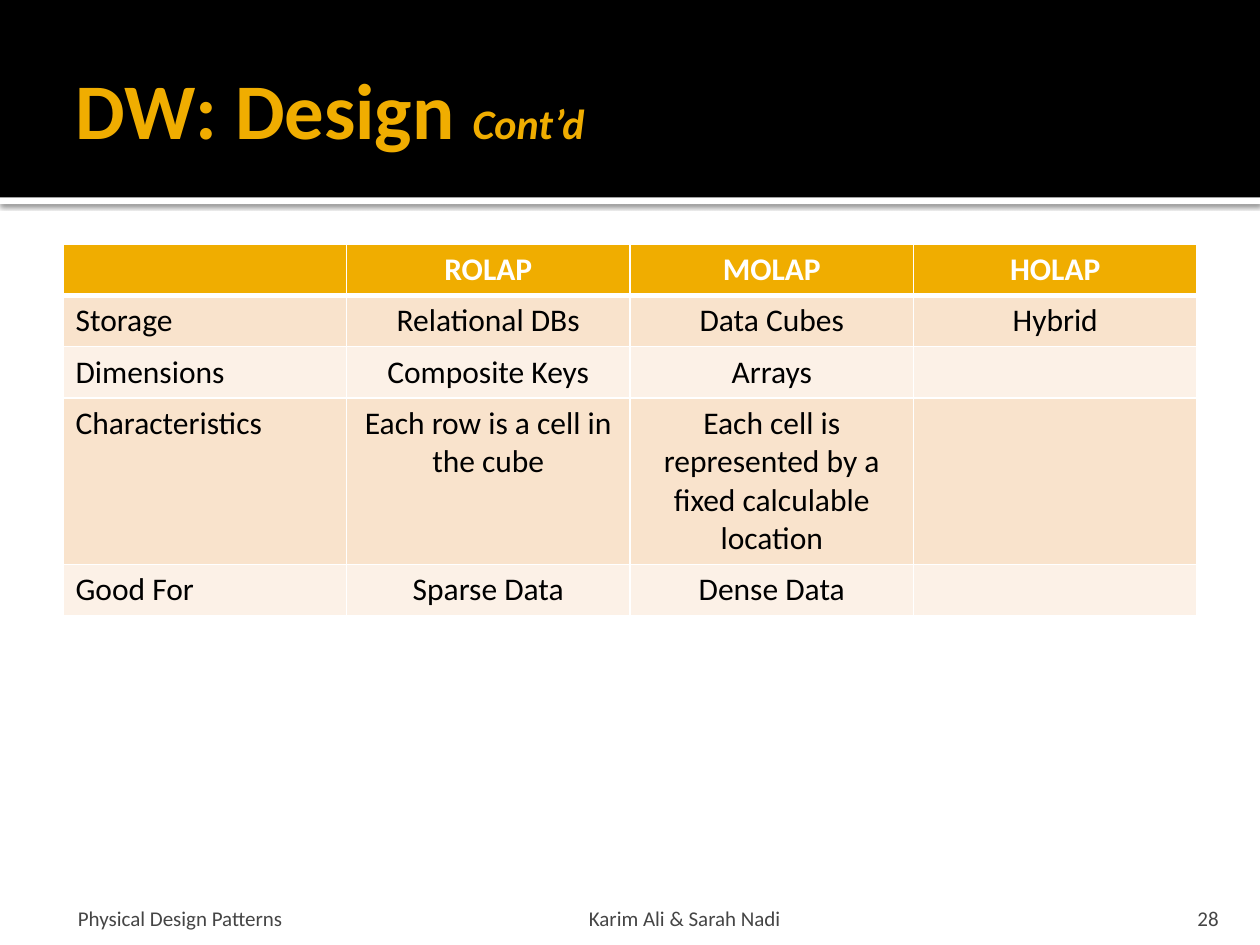
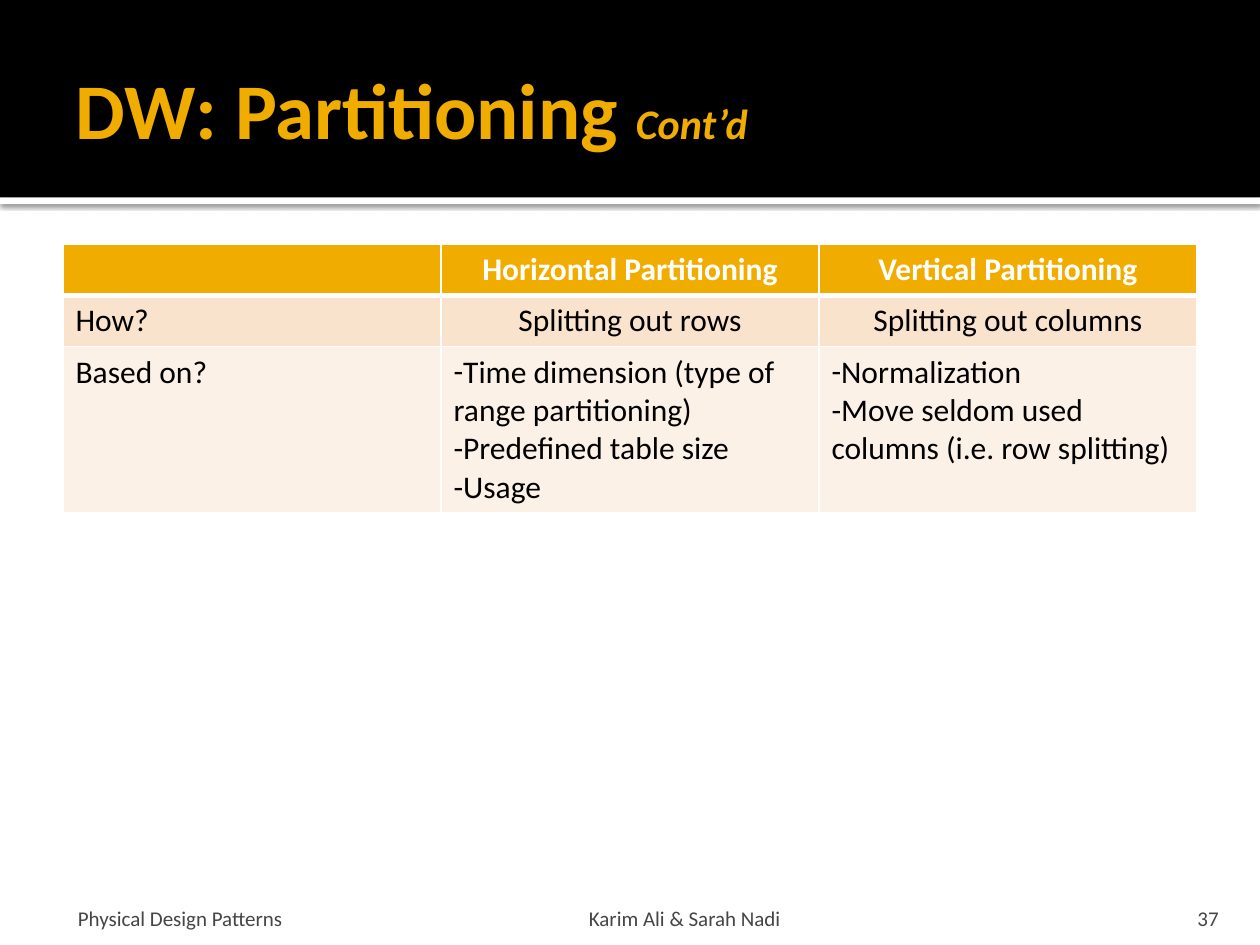
from lxml import etree
from pptx import Presentation
from pptx import util as u
from pptx.dml.color import RGBColor
from pptx.enum import shapes, text
from pptx.oxml.ns import qn

# Shared look
FONT = "Calibri"
BLACK = RGBColor(0x00, 0x00, 0x00)
WHITE = RGBColor(0xFF, 0xFF, 0xFF)
GOLD = RGBColor(0xF0, 0xAD, 0x00)
GREY = RGBColor(0x45, 0x45, 0x45)
BANDS = (RGBColor(0xF9, 0xE3, 0xCC), RGBColor(0xFC, 0xF1, 0xE7))

LEFT, CENTER, RIGHT = (text.PP_ALIGN.LEFT, text.PP_ALIGN.CENTER,
                       text.PP_ALIGN.RIGHT)
WIDE, HIGH = u.Cm(25.4), u.Cm(19.05)
EDGE, SPAN = u.Cm(1.27), u.Cm(22.86)
HEAD = u.Cm(3.98)
ROW = u.Cm(1.03)

# Footer fields: left, width, left and right inset, alignment
FOOT = ((1.27, 5.92, 0.3, 0.13, LEFT),
        (6.16, 15.29, 0.13, 0.13, CENTER),
        (22.79, 2.03, 0.25, 0.25, RIGHT))
NOTE = ("Physical Design Patterns", "Karim Ali & Sarah Nadi")

# Table content: a list in a cell is a dashed list
DESIGN = (
    ("", "ROLAP", "MOLAP", "HOLAP"),
    ("Storage", "Relational DBs", "Data Cubes", "Hybrid"),
    ("Dimensions", "Composite Keys", "Arrays", ""),
    ("Characteristics", "Each row is a cell in the cube",
     "Each cell is represented by a fixed calculable location", ""),
    ("Good For", "Sparse Data", "Dense Data", ""),
)
PARTS = (
    ("", "Horizontal Partitioning", "Vertical Partitioning"),
    ("How?", "Splitting out rows", "Splitting out columns"),
    ("Based on?",
     ["Time dimension (type of range partitioning)",
      "Predefined table size", "Usage"],
     ["Normalization", "Move seldom used columns (i.e. row splitting)"]),
)


def add_run(para, words, size, color, bold=False, italic=False):
    run = para.add_run()
    run.text = words
    font = run.font
    font.name, font.size = FONT, u.Pt(size)
    font.bold, font.italic = bold, italic
    font.color.rgb = color


def set_frame(frame, anchor, left, right, top, bottom):
    frame.word_wrap = True
    frame.auto_size = text.MSO_AUTO_SIZE.NONE
    frame.vertical_anchor = anchor
    frame.margin_left, frame.margin_right = u.Cm(left), u.Cm(right)
    frame.margin_top, frame.margin_bottom = u.Cm(top), u.Cm(bottom)


def add_band(slide, top, height, color):
    band = slide.shapes.add_shape(shapes.MSO_SHAPE.RECTANGLE,
                                  0, top, WIDE, height)
    band.shadow.inherit = False
    band.fill.solid()
    band.fill.fore_color.rgb = color
    band.line.fill.background()
    return band


def add_shade(shape):
    """Cast a soft black shadow straight down."""
    list_ = shape._element.spPr.find(qn("a:effectLst"))
    shade = etree.SubElement(list_, qn("a:outerShdw"),
                             blurRad=str(u.Pt(2.5)), dist=str(u.Pt(1.5)),
                             dir="5400000", algn="t", rotWithShape="0")
    tint = etree.SubElement(shade, qn("a:srgbClr"), val=str(BLACK))
    etree.SubElement(tint, qn("a:alpha"), val="60000")


def add_title(slide, words):
    title = slide.shapes.title
    title.left, title.top = EDGE, u.Cm(0.43)
    title.width, title.height = SPAN, u.Cm(3.48)
    set_frame(title.text_frame, text.MSO_ANCHOR.MIDDLE,
              0.25, 0.13, 0.13, 0.13)
    para = title.text_frame.paragraphs[0]
    para.alignment = LEFT
    add_run(para, words + " ", 45, GOLD, bold=True)
    add_run(para, "Cont\u2019d", 24, GOLD, bold=True, italic=True)
    # Bring the title in front of the bands
    title._element.getparent().append(title._element)


def add_foot(slide, page):
    for words, (left, width, inl, inr, align) in zip((*NOTE, page), FOOT):
        box = slide.shapes.add_textbox(u.Cm(left), u.Cm(18),
                                       u.Cm(width), u.Cm(0.76))
        set_frame(box.text_frame, text.MSO_ANCHOR.BOTTOM, inl, inr, 0.13, 0)
        para = box.text_frame.paragraphs[0]
        para.alignment = align
        add_run(para, words, 12, GREY)


def add_rules(cell, row):
    """White cell borders, thick between the header and the body."""
    props = cell._tc.get_or_add_tcPr()
    thick = {0: "lnB", 1: "lnT"}.get(row)
    for side in ("lnL", "lnR", "lnT", "lnB"):
        width = u.Pt(3 if side == thick else 1)
        line = etree.SubElement(props, qn("a:" + side), w=str(width))
        fill = etree.SubElement(line, qn("a:solidFill"))
        etree.SubElement(fill, qn("a:srgbClr"), val=str(WHITE))


def add_dash(para):
    props = para._p.get_or_add_pPr()
    props.set("marL", "0")
    props.set("indent", "0")
    etree.SubElement(props, qn("a:buFont"), typeface=FONT)
    etree.SubElement(props, qn("a:buChar"), char="-")


def fill_cell(cell, item, row, col):
    head = row == 0
    add_rules(cell, row)
    cell.fill.solid()
    cell.fill.fore_color.rgb = GOLD if head else BANDS[(row - 1) % 2]
    if head:
        cell.vertical_anchor = text.MSO_ANCHOR.MIDDLE
    dashed = isinstance(item, list)
    frame = cell.text_frame
    for num, words in enumerate(item if dashed else [item]):
        para = frame.add_paragraph() if num else frame.paragraphs[0]
        para.alignment = LEFT if dashed or col == 0 else CENTER
        if dashed:
            add_dash(para)
        if words:
            add_run(para, words, 18, WHITE if head else BLACK, bold=head)


def add_grid(slide, rows):
    count = len(rows[0])
    grid = slide.shapes.add_table(len(rows), count, EDGE, u.Cm(4.93),
                                  SPAN, ROW * len(rows)).table
    for col in grid.columns:
        col.width = SPAN // count
    for row, items in enumerate(rows):
        grid.rows[row].height = ROW
        for col, item in enumerate(items):
            fill_cell(grid.cell(row, col), item, row, col)


def add_slide(deck, title, page, rows):
    slide = deck.slides.add_slide(deck.slide_layouts[5])
    add_shade(add_band(slide, HEAD, u.Cm(0.13), WHITE))
    add_band(slide, 0, HEAD, BLACK)
    add_title(slide, title)
    add_foot(slide, page)
    add_grid(slide, rows)


def main():
    deck = Presentation()
    deck.slide_width, deck.slide_height = WIDE, HIGH
    add_slide(deck, "DW: Design", "28", DESIGN)
    add_slide(deck, "DW: Partitioning", "37", PARTS)
    deck.save("out.pptx")


main()
